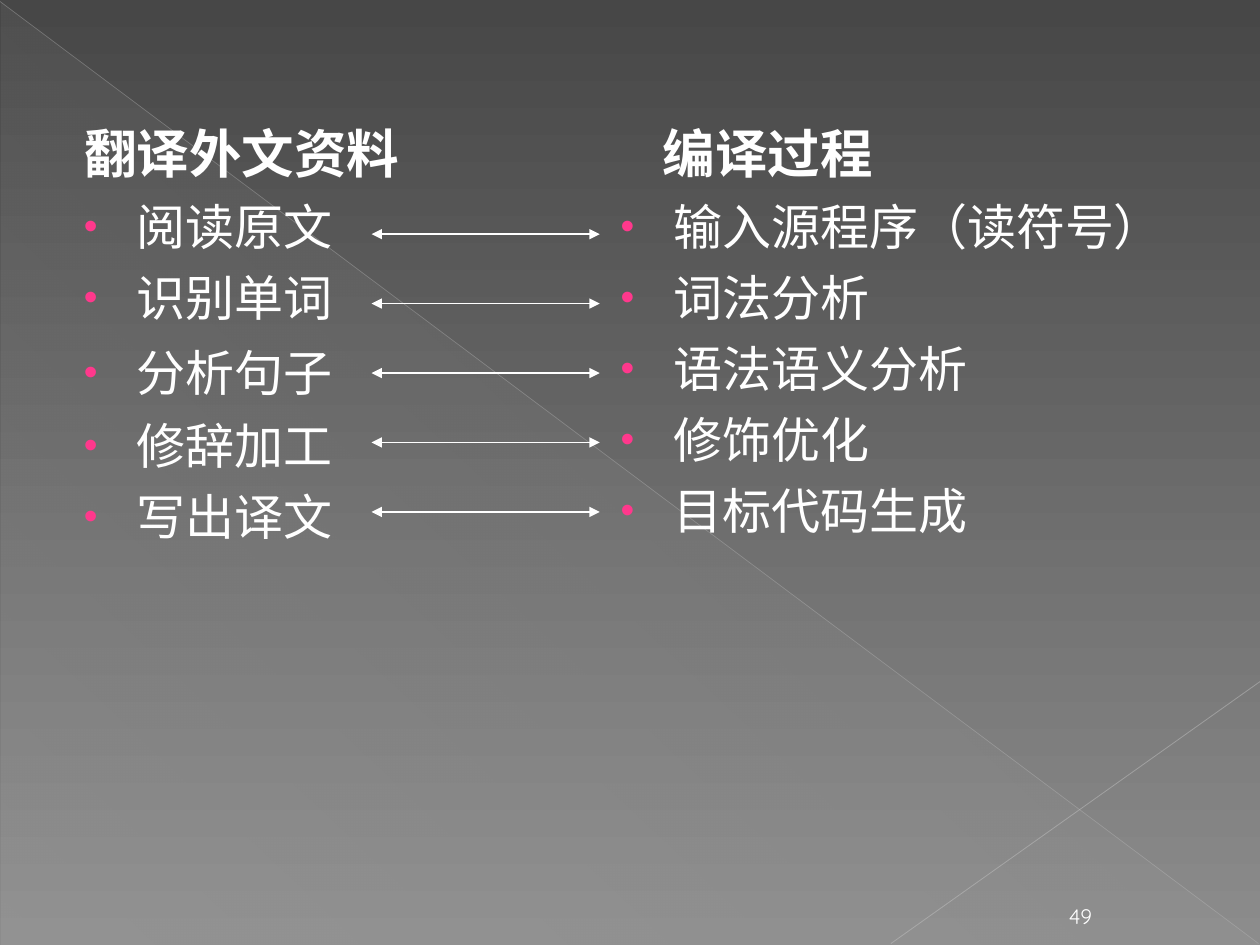
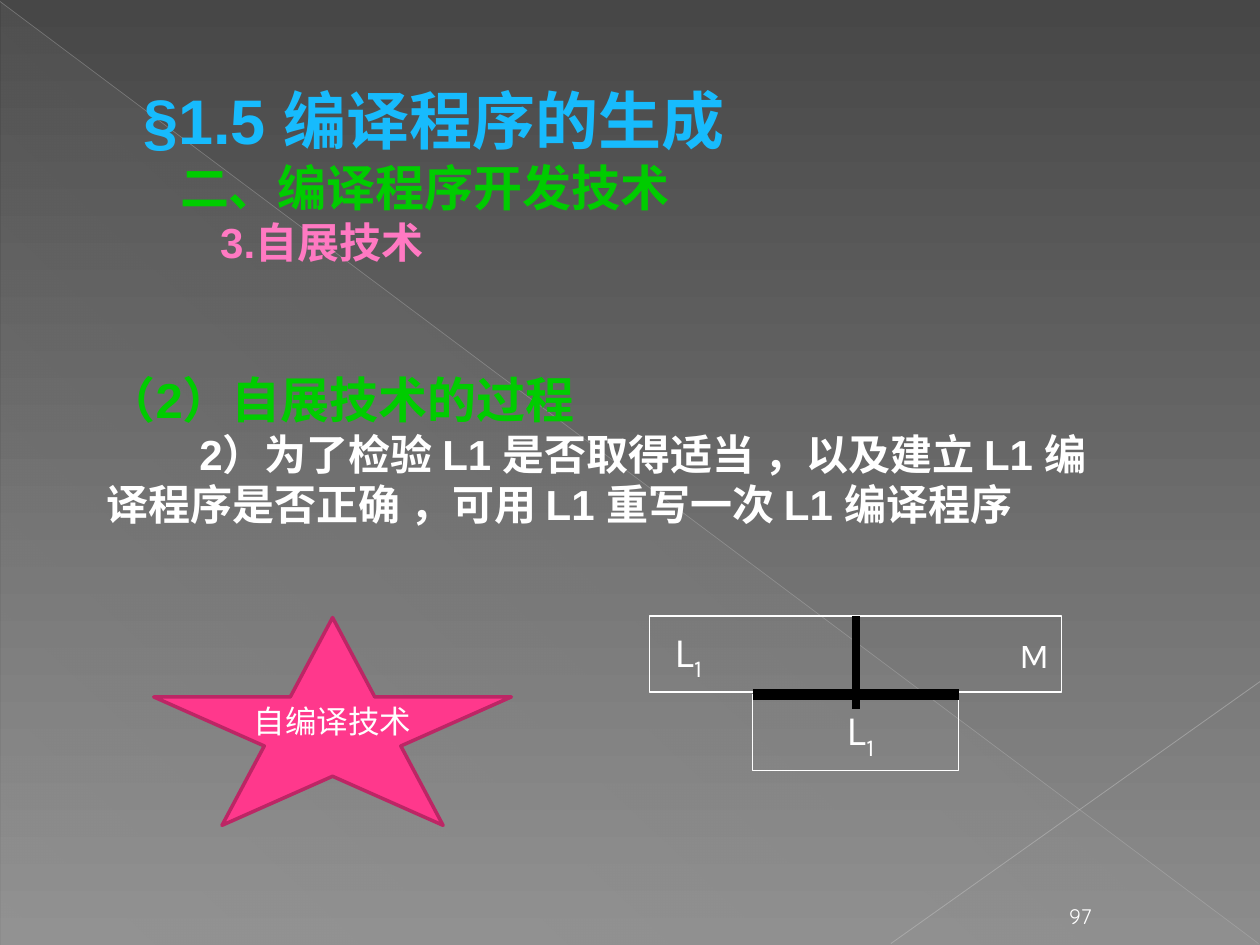
from dataclasses import dataclass

from lxml.etree import SubElement
from pptx import Presentation
from pptx.dml.color import RGBColor
from pptx.enum.shapes import MSO_CONNECTOR, MSO_SHAPE
from pptx.enum.text import MSO_ANCHOR, PP_ALIGN
from pptx.oxml.ns import qn
from pptx.util import Cm, Pt


@dataclass(frozen=True)
class Theme:
    # Colours
    top: str = "474747"
    bottom: str = "8C8C8C"
    veil: str = "D2D2D2"
    long_ray: str = "BFBFBF"
    short_ray: str = "C6C6C6"
    text: str = "FFFFFF"
    accent: str = "FF388C"
    accent_edge: str = "BC2665"
    chapter: str = "17BBFD"
    section: str = "00CC00"
    topic: str = "FF79C2"
    bar: str = "000000"
    # Fonts
    main_font: str = "Quicksand"
    strong_font: str = "Arial"
    diagram_font: str = "Karla"
    # Type sizes
    chapter_size: int = 36
    heading_size: int = 30
    item_size: int = 28
    body_size: int = 24
    mark_size: int = 20
    label_size: int = 18
    page_size: int = 12


THEME = Theme()


def rgb(value):
    return RGBColor.from_string(value)


def set_gradient(fill, colours, angle):
    fill.gradient()
    fill.gradient_angle = 360 - angle
    for stop, colour in zip(fill.gradient_stops, colours):
        stop.color.rgb = rgb(colour)


def set_opacity(shape, *percentages):
    colours = shape._element.spPr.iter(qn("a:srgbClr"))
    for colour, percentage in zip(list(colours), percentages):
        SubElement(colour, qn("a:alpha"), val=str(percentage * 1000))


# Text
def add_box(page, left, top, width, height, wrap=True, anchor=MSO_ANCHOR.TOP):
    box = page.shapes.add_textbox(Cm(left), Cm(top), Cm(width), Cm(height))
    box.text_frame.word_wrap = wrap
    box.text_frame.vertical_anchor = anchor
    return box.text_frame


def add_para(frame, margin=0, indent=0, space=0, align=PP_ALIGN.LEFT):
    first = frame.paragraphs[0]
    para = frame.add_paragraph() if first.runs else first
    properties = para._p.get_or_add_pPr()
    properties.set("marL", str(Cm(margin)))
    properties.set("indent", str(Cm(indent)))
    para.alignment = align
    para.space_before = Pt(space)
    return para


def add_span(para, text, size, colour=THEME.text, font=THEME.main_font, bold=False):
    span = para.add_run()
    span.text = text
    span.font.size = Pt(size)
    span.font.name = font
    span.font.bold = bold
    span.font.color.rgb = rgb(colour)
    return span


def add_strong(para, text, size, colour=THEME.text):
    add_span(para, text, size, colour, THEME.strong_font, bold=True)


def add_bullet(para):
    properties = para._p.get_or_add_pPr()
    colour = SubElement(properties, qn("a:buClr"))
    SubElement(colour, qn("a:srgbClr"), val=THEME.accent)
    SubElement(properties, qn("a:buSzPct"), val="80000")
    SubElement(properties, qn("a:buFont"), typeface="Arial")
    SubElement(properties, qn("a:buChar"), char="•")


def add_bullet_list(page, place, heading, heading_margin, items):
    """Items are (text, space before in points)."""
    frame = add_box(page, *place)
    add_span(add_para(frame, heading_margin), heading, THEME.heading_size, bold=True)
    for text, space in items:
        para = add_para(frame, margin=1.24, indent=-1.07, space=space)
        add_bullet(para)
        add_span(para, text, THEME.item_size)


# Shapes and lines
def add_line(page, start, end, colour, weight, arrows=False):
    line = page.shapes.add_connector(
        MSO_CONNECTOR.STRAIGHT, *(Cm(value) for value in (*start, *end)))
    line.line.color.rgb = rgb(colour)
    line.line.width = Pt(weight)
    SubElement(line._element.spPr, qn("a:effectLst"))
    if arrows:
        outline = line.line._get_or_add_ln()
        for tag in ("a:headEnd", "a:tailEnd"):
            SubElement(outline, qn(tag), type="triangle")
    return line


def add_preset(page, kind, left, top, width, height):
    shape = page.shapes.add_shape(kind, Cm(left), Cm(top), Cm(width), Cm(height))
    shape.shadow.inherit = False
    return shape


def add_cell(page, left, top, width, height, align, letter, size,
             subscript="", left_inset=0.25):
    cell = add_preset(page, MSO_SHAPE.RECTANGLE, left, top, width, height)
    cell.fill.background()
    cell.line.color.rgb = rgb(THEME.text)
    cell.line.width = Pt(0.75)
    frame = cell.text_frame
    frame.margin_left = Cm(left_inset)
    frame.vertical_anchor = MSO_ANCHOR.MIDDLE
    para = add_para(frame, align=align)
    add_span(para, letter, size, font=THEME.diagram_font)
    if subscript:
        span = add_span(para, subscript, size, font=THEME.diagram_font)
        span.font._element.set("baseline", "-25000")


def add_star(page, left, top, width, height, text):
    star = add_preset(page, MSO_SHAPE.STAR_5_POINT, left, top, width, height)
    star.fill.solid()
    star.fill.fore_color.rgb = rgb(THEME.accent)
    star.line.color.rgb = rgb(THEME.accent_edge)
    star.line.width = Pt(2)
    frame = star.text_frame
    frame.word_wrap = False
    frame.margin_bottom = Cm(0.74)
    frame.vertical_anchor = MSO_ANCHOR.MIDDLE
    add_span(add_para(frame, align=PP_ALIGN.CENTER), text, THEME.label_size)


# Shared page: background, veil, rays and page number
def add_page(deck, number):
    page = deck.slides.add_slide(deck.slide_layouts[6])
    set_gradient(page.background.fill, (THEME.top, THEME.bottom), 90)
    veil = add_preset(page, MSO_SHAPE.RIGHT_TRIANGLE, 0.03, 0.05, 25.37, 19)
    set_gradient(veil.fill, (THEME.veil, THEME.veil), 133)
    set_opacity(veil, 1, 10)
    veil.line.fill.background()
    set_opacity(add_line(page, (0, 0.03), (25.37, 19.02), THEME.long_ray, 0.4), 35)
    set_opacity(add_line(page, (25.4, 13.74), (17.96, 19.02), THEME.short_ray, 0.48), 45)
    frame = add_box(page, 21.08, 18.01, 1.4, 0.84, anchor=MSO_ANCHOR.BOTTOM)
    add_span(add_para(frame, align=PP_ALIGN.CENTER), str(number), THEME.page_size)
    return page


def build_comparison(deck):
    page = add_page(deck, 49)
    add_bullet_list(page, (1.27, 2.31, 22.86, 15.6), "翻译外文资料", 0.18, [
        ("阅读原文", 7), ("识别单词", 7), ("分析句子", 9.5), ("修辞加工", 8), ("写出译文", 7)])
    add_bullet_list(page, (12.09, 2.31, 12.19, 11.43), "编译过程", 1.02, [
        (text, 7) for text in
        ("输入源程序（读符号）", "词法分析", "语法语义分析", "修饰优化", "目标代码生成")])
    for row in range(5):
        y = 4.72 + 1.4 * row
        add_line(page, (7.49, y), (12.09, y), THEME.text, 0.75, arrows=True)


def build_bootstrapping(deck):
    page = add_page(deck, 97)

    # Three-level title
    frame = add_box(page, 2.64, 1.52, 12.52, 3.99, wrap=False)
    for text, margin, size, colour in (
            ("§1.5 编译程序的生成", 0, THEME.chapter_size, THEME.chapter),
            ("二、编译程序开发技术", 0.74, THEME.item_size, THEME.section),
            ("3.自展技术", 1.55, THEME.body_size, THEME.topic)):
        add_strong(add_para(frame, margin), text, size, colour)

    # Explanation
    frame = add_box(page, 1.9, 7.32, 20.4, 4.5)
    add_strong(add_para(frame), "（2）自展技术的过程", THEME.item_size, THEME.section)
    add_strong(add_para(frame, indent=1.87),
               "2）为了检验 L1 是否取得适当 ，以及建立 L1 编译程序是否正确 ，"
               "可用 L1 重写一次 L1 编译程序", THEME.body_size)

    # T diagram
    left, top, width, height = 13.1, 12.42, 4.15, 1.53
    middle, stem, base = left + width, left + width / 2, 14.0
    add_cell(page, left, top, width, height, PP_ALIGN.LEFT,
             "L", THEME.body_size, "1", left_inset=0.5)
    add_cell(page, middle, top, width, height, PP_ALIGN.RIGHT, "M", THEME.mark_size)
    add_cell(page, stem, base, width, height, PP_ALIGN.CENTER,
             "L", THEME.body_size, "1", left_inset=0.45)
    add_line(page, (stem, base), (stem + width, base), THEME.bar, 6)
    add_line(page, (middle, top), (middle, base + 0.3), THEME.bar, 4.5)

    add_star(page, 3.1, 12.45, 7.21, 4.19, "自编译技术")


def main():
    deck = Presentation()
    deck.slide_width, deck.slide_height = Cm(25.4), Cm(19.05)
    build_comparison(deck)
    build_bootstrapping(deck)
    deck.save("out.pptx")


if __name__ == "__main__":
    main()
